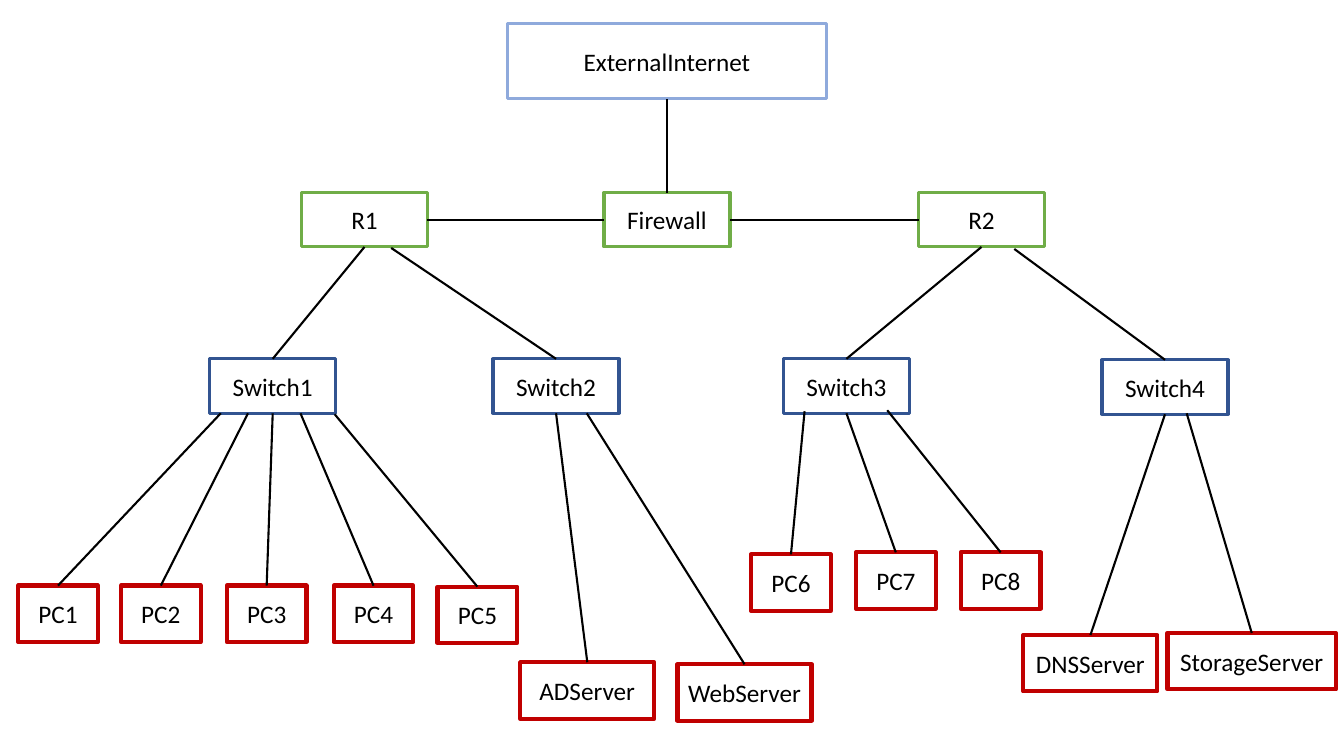
import pptx
import pptx.dml.color
import pptx.enum.shapes
import pptx.enum.text
import pptx.oxml.ns
import pptx.util
import lxml.etree

RGBColor = pptx.dml.color.RGBColor
WHITE = RGBColor(0xFF, 0xFF, 0xFF)
BLACK = RGBColor(0x00, 0x00, 0x00)
LIGHT_BLUE = RGBColor(0x8F, 0xAA, 0xDC)
GREEN = RGBColor(0x70, 0xAD, 0x47)
DARK_BLUE = RGBColor(0x32, 0x54, 0x91)
RED = RGBColor(0xC0, 0x00, 0x00)

EMU_PER_PX = 9144
TOP, LEFT, BOTTOM, RIGHT = range(4)

TIERS = [
    (LIGHT_BLUE, 2.25, 75, [("ExternalInternet", 503, 23, 317)]),
    (GREEN, 2.25, 54, [
        ("R1", 299, 191, 125),
        ("Firewall", 599, 191, 125),
        ("R2", 911, 191, 125),
    ]),
    (DARK_BLUE, 2.25, 54, [
        ("Switch1", 208, 356, 125),
        ("Switch2", 489, 356, 125),
        ("Switch3", 777, 356, 125),
        ("Switch4", 1093, 357, 125),
    ]),
    (RED, 3, 56, [
        ("PC1", 18, 581, 79),
        ("PC2", 120, 581, 79),
        ("PC3", 225, 581, 79),
        ("PC4", 331, 581, 79),
        ("PC5", 434, 582, 79),
        ("PC6", 745, 550, 79),
        ("PC7", 849, 548, 79),
        ("PC8", 953, 548, 79),
        ("ADServer", 516, 657, 133),
        ("WebServer", 672, 659, 133),
        ("DNSServer", 1015, 630, 133),
        ("StorageServer", 1158, 628, 167),
    ]),
]

CENTRED_LINKS = [
    ("ExternalInternet", BOTTOM, "Firewall", TOP),
    ("R1", RIGHT, "Firewall", LEFT),
    ("Firewall", RIGHT, "R2", LEFT),
    ("R1", BOTTOM, "Switch1", TOP),
    ("R2", BOTTOM, "Switch3", TOP),
    ("Switch1", BOTTOM, "PC3", TOP),
    ("Switch2", BOTTOM, "ADServer", TOP),
    ("Switch3", BOTTOM, "PC7", TOP),
    ("Switch4", BOTTOM, "DNSServer", TOP),
]

OFFSET_LINKS = [
    (388, 246, "Switch2"),
    (1006, 247, "Switch4"),
    (219, 410, "PC1"),
    (246, 410, "PC2"),
    (298, 410, "PC4"),
    (332, 411, "PC5"),
    (582, 410, "WebServer"),
    (798, 408, "PC6"),
    (880, 407, "PC8"),
    (1177, 410, "StorageServer"),
]


def px(length):
    return pptx.util.Emu(length * EMU_PER_PX)


class NetworkDiagram:
    font_name = "Calibri"
    font_size = pptx.util.Pt(18)
    link_width = pptx.util.Pt(1.5)

    def __init__(self, slide):
        self.slide = slide
        self.nodes = {}

    def add_node(self, name, left, top, width, height, color, line_width):
        shape = self.slide.shapes.add_shape(
            pptx.enum.shapes.MSO_SHAPE.RECTANGLE,
            px(left), px(top), px(width), px(height))
        shape.shadow.inherit = False
        shape.fill.solid()
        shape.fill.fore_color.rgb = WHITE
        shape.line.color.rgb = color
        shape.line.width = pptx.util.Pt(line_width)
        text_frame = shape.text_frame
        text_frame.text = name
        text_frame.margin_left = text_frame.margin_right = px(5)
        text_frame.vertical_anchor = pptx.enum.text.MSO_ANCHOR.MIDDLE
        paragraph = text_frame.paragraphs[0]
        paragraph.alignment = pptx.enum.text.PP_ALIGN.CENTER
        font = paragraph.runs[0].font
        font.name = self.font_name
        font.size = self.font_size
        font.color.rgb = BLACK
        self.nodes[name] = shape

    def add_link(self, child, child_side, x=0, y=0):
        connector = self.slide.shapes.add_connector(
            pptx.enum.shapes.MSO_CONNECTOR.STRAIGHT, px(x), px(y), px(x), px(y))
        connector.end_connect(self.nodes[child], child_side)
        connector.line.color.rgb = BLACK
        connector.line.width = self.link_width
        lxml.etree.SubElement(
            connector._element.spPr, pptx.oxml.ns.qn("a:effectLst"))
        return connector

    def add_centred_link(self, parent, parent_side, child, child_side):
        connector = self.add_link(child, child_side)
        connector.begin_connect(self.nodes[parent], parent_side)


def main():
    presentation = pptx.Presentation()
    presentation.slide_width = px(1333)
    presentation.slide_height = px(750)
    slide = presentation.slides.add_slide(presentation.slide_layouts[6])
    diagram = NetworkDiagram(slide)
    for color, line_width, height, nodes in TIERS:
        for name, left, top, width in nodes:
            diagram.add_node(name, left, top, width, height, color, line_width)
    for link in CENTRED_LINKS:
        diagram.add_centred_link(*link)
    for x, y, child in OFFSET_LINKS:
        diagram.add_link(child, TOP, x, y)
    presentation.save("out.pptx")


if __name__ == "__main__":
    main()
